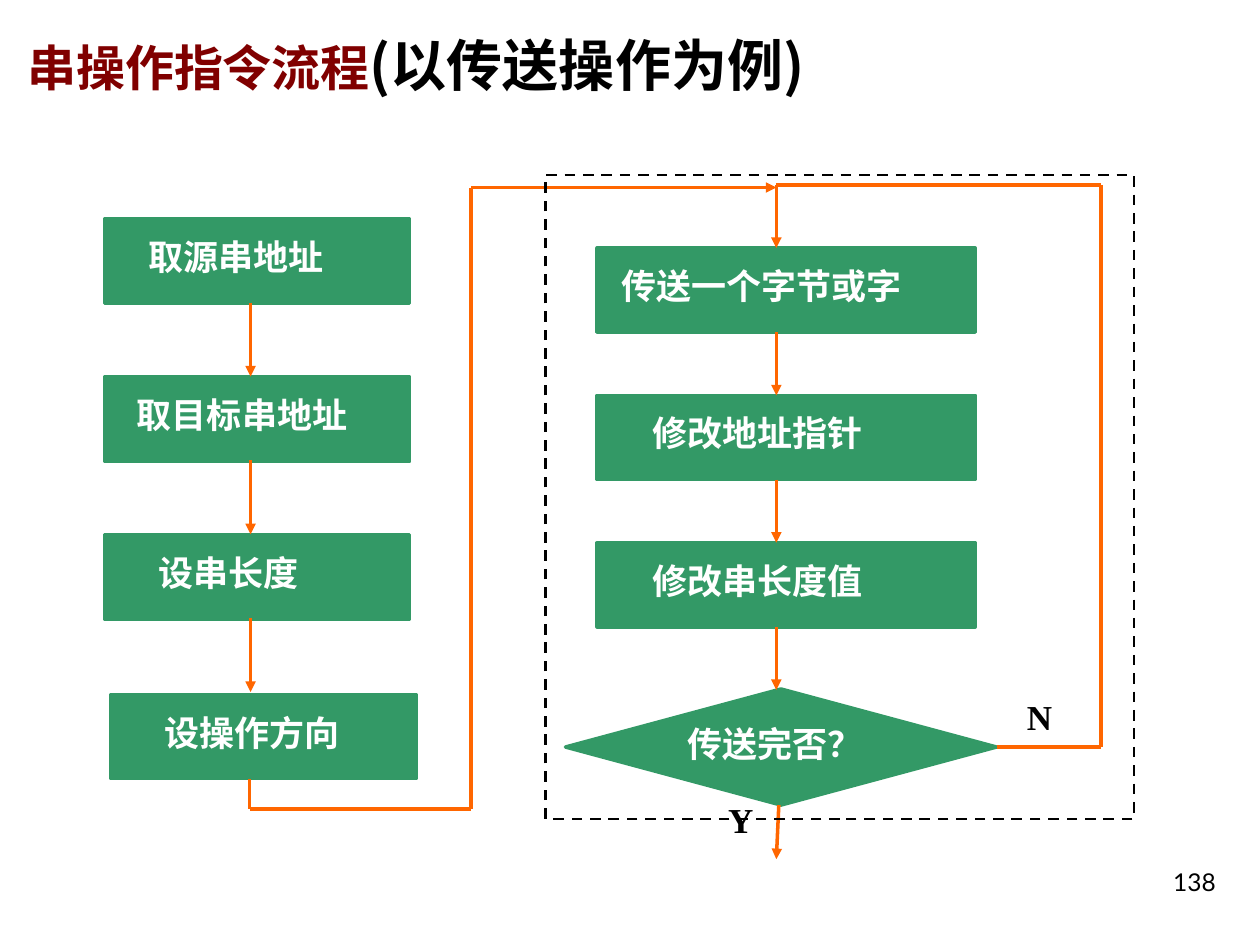
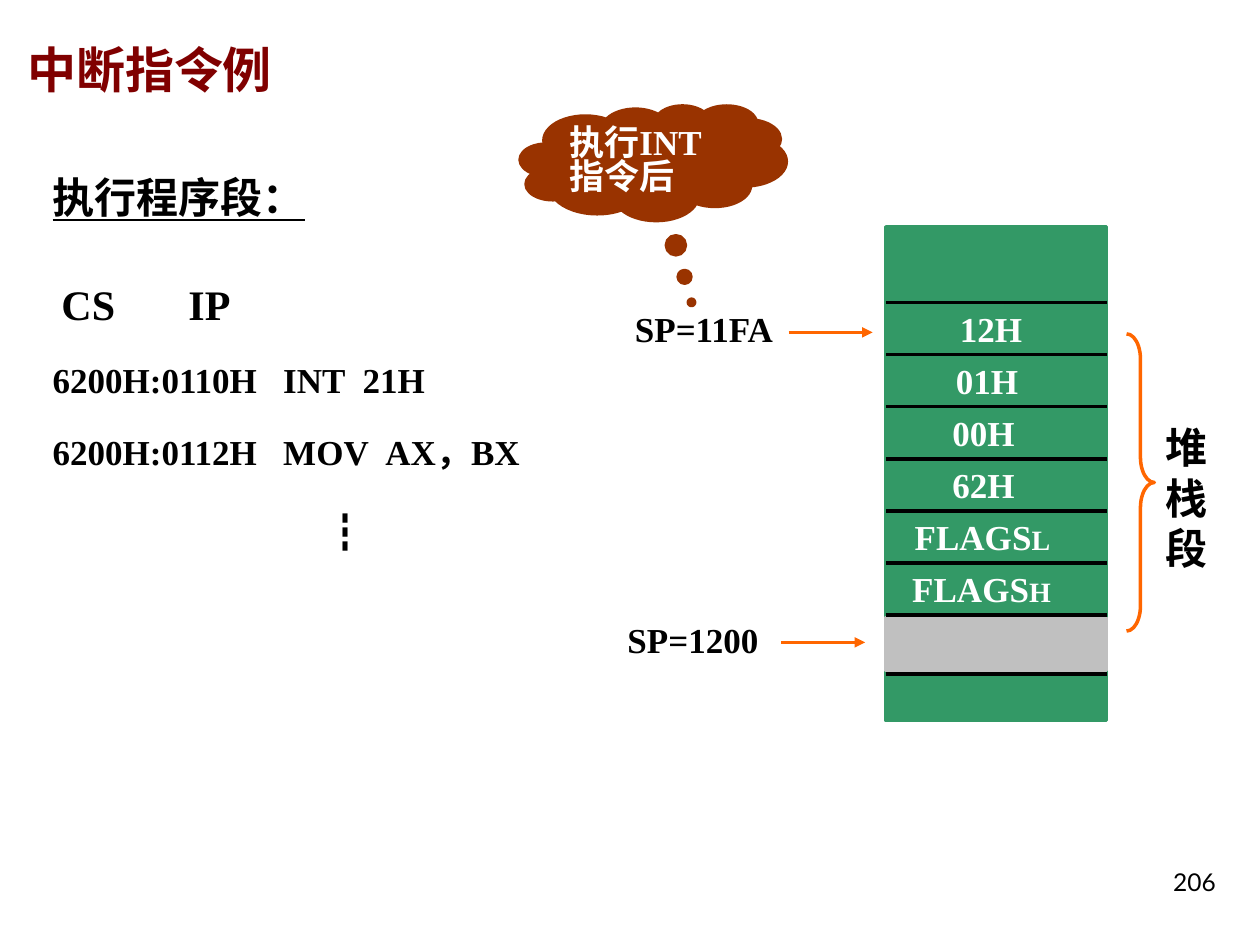
from dataclasses import dataclass
from itertools import pairwise

from lxml import etree
from pptx import Presentation
from pptx import util as u
from pptx.dml.color import RGBColor
from pptx.enum import dml, shapes, text
from pptx.oxml import ns

# Shared colours, fonts and formats
GREEN = RGBColor(0x33, 0x99, 0x66)
ORANGE = RGBColor(0xFF, 0x66, 0x00)
MAROON = RGBColor(0x80, 0x00, 0x00)
BROWN = RGBColor(0x99, 0x33, 0x00)
GREY = RGBColor(0xC0, 0xC0, 0xC0)
BLACK = RGBColor(0, 0, 0)
WHITE = RGBColor(0xFF, 0xFF, 0xFF)
SANS, SERIF, NUMBER = "Noto Sans CJK SC", "Times New Roman", "Lato"
RECT = shapes.MSO_SHAPE.RECTANGLE


@dataclass(frozen=True)
class Span:
    words: str
    size: float = 20
    color: RGBColor = BLACK
    font: str = SERIF
    bold: bool = True
    underline: bool = False


@dataclass(frozen=True)
class Frame:
    """Position and size in centimetres."""
    left: float
    top: float
    width: float
    height: float

    def lengths(self):
        return [u.Cm(v) for v in (self.left, self.top, self.width, self.height)]


@dataclass(frozen=True)
class Step:
    """A flow chart box with its separately placed label."""
    words: str
    frame: Frame
    label_left: float


@dataclass(frozen=True)
class CodeLine:
    spans: list
    tabs: tuple = ()
    before: float = 0
    after: float = 0


def write(para, spans) -> None:
    for item in spans:
        span = para.add_run()
        span.text = item.words
        formats = {"name": item.font, "size": u.Pt(item.size),
                   "bold": item.bold, "underline": item.underline}
        for key, value in formats.items():
            setattr(span.font, key, value)
        span.font.color.rgb = item.color
        east_asian = etree.SubElement(span.font._element, ns.qn("a:ea"))
        east_asian.set("typeface", SANS)


def add_text(page, frame: Frame, *spans: Span, anchor=text.MSO_ANCHOR.TOP,
             align=text.PP_ALIGN.LEFT):
    box = page.shapes.add_textbox(*frame.lengths())
    box.text_frame.word_wrap = True
    box.text_frame.vertical_anchor = anchor
    para = box.text_frame.paragraphs[0]
    para.alignment = align
    write(para, spans)
    return box


def add_figure(page, kind, frame: Frame, fill=None, line=None, width=2.0):
    figure = page.shapes.add_shape(kind, *frame.lengths())
    figure.shadow.inherit = False
    if fill is None:
        figure.fill.background()
    else:
        figure.fill.solid()
        figure.fill.fore_color.rgb = fill
    figure.line.color.rgb = fill if line is None else line
    figure.line.width = u.Pt(width)
    return figure


def add_route(page, *points, color=ORANGE, arrow=True) -> list:
    """Join the points with straight lines; the last one may carry an arrowhead."""
    lines = []
    for start, end in pairwise(points):
        line = page.shapes.add_connector(
            shapes.MSO_CONNECTOR.STRAIGHT, *[u.Cm(v) for v in start + end])
        line.line.color.rgb = color
        line.line.width = u.Pt(2)
        etree.SubElement(line._element.spPr, ns.qn("a:effectLst"))
        lines.append(line)
    if arrow:
        outline = lines[-1].line._get_or_add_ln()
        etree.SubElement(outline, ns.qn("a:tailEnd")).set("type", "triangle")
    return lines


def start_page(deck, number: str, *title: Span):
    page = deck.slides.add_slide(deck.slide_layouts[6])
    add_text(page, Frame(0.3, 0.2, 20, 1.9), *title, anchor=text.MSO_ANCHOR.BOTTOM)
    add_text(page, Frame(23.4, 17.35, 2, 1.32), Span(number, 14, font=NUMBER, bold=False))
    return page


def title_span(words: str) -> Span:
    return Span(words, 28, MAROON, SANS)


def add_step(page, step: Step) -> None:
    add_figure(page, RECT, step.frame, GREEN)
    add_text(page, Frame(step.label_left, step.frame.top + 0.21, 7, 1.09),
             Span(step.words, color=WHITE))


def build_flow(deck) -> None:
    page = start_page(deck, "138", title_span("串操作指令流程"),
                      Span("(以传送操作为例)", 32, font=SANS))

    # Set-up steps on the left, loop steps on the right
    left_pitch, right_pitch = 3.18, 2.97
    set_up = [("取源串地址", 2.74), ("取目标串地址", 2.51), ("设串长度", 2.95)]
    loop = [("传送一个字节或字", 12.27), ("修改地址指针", 12.9), ("修改串长度值", 12.9)]
    steps = [Step(words, Frame(2.11, 4.42 + i * left_pitch, 6.15, 1.7), left)
             for i, (words, left) in enumerate(set_up)]
    steps.append(Step("设操作方向", Frame(2.24, 14, 6.15, 1.7), 3.07))
    steps += [Step(words, Frame(12.04, 5 + i * right_pitch, 7.62, 1.7), left)
              for i, (words, left) in enumerate(loop)]
    for step in steps:
        add_step(page, step)

    # Decision
    decision = add_figure(page, shapes.MSO_SHAPE.FLOWCHART_DECISION,
                          Frame(11.4, 13.89, 8.69, 2.34), GREEN)
    add_text(page, Frame(13.61, 14.45, 5.28, 1.09), Span("传送完否？", color=WHITE))

    # Arrows between the steps
    left_axis, right_axis = 5.05, 15.65
    for i in range(3):
        top = 6.1 + i * left_pitch
        add_route(page, (left_axis, top), (left_axis, top + 1.49))
    for i in range(4):
        top = 3.73 + i * right_pitch
        add_route(page, (right_axis, top), (right_axis, top + 1.27))
    add_route(page, (15.7, 16.23), (right_axis, 17.32))

    # Way into the loop and way back
    add_route(page, (5.03, 15.7), (5.03, 16.31), (9.5, 16.31), (9.5, 3.78),
              (right_axis, 3.78))
    way_back = add_route(page, (20.09, 15.06), (22.2, 15.06), (22.2, 3.73),
                         (right_axis, 3.73), arrow=False)
    way_back[0].begin_connect(decision, 3)

    # Dashed frame around the loop, and the branch names
    border = add_figure(page, RECT, Frame(11, 3.53, 11.86, 12.98), line=BLACK, width=1.5)
    border.line.dash_style = dml.MSO_LINE.DASH
    for name, left, top in (("N", 20.45, 13.89), ("Y", 14.43, 15.98)):
        add_text(page, Frame(left, top, 1.2, 1.09), Span(name))


def add_program(page) -> None:
    lines = [
        CodeLine([Span("执行程序段：", 24, underline=True)], after=12.4),
        CodeLine([Span("\tCS\tIP", 24)], (0.18, 2.74), 5.5),
        CodeLine([Span("6200H:0110H\tINT\t21H")], (4.65, 6.25), 5),
        CodeLine([Span("6200H:0112H\tMOV\tAX，BX")], (4.65, 6.71), 5),
        CodeLine([Span("\t┇", 24, font=SANS)], (5.49,), 5.5),
    ]
    box = add_text(page, Frame(0.81, 2.82, 10.41, 9.22))
    for i, line in enumerate(lines):
        para = box.text_frame.add_paragraph() if i else box.text_frame.paragraphs[0]
        if line.tabs:
            stops = etree.SubElement(para._p.get_or_add_pPr(), ns.qn("a:tabLst"))
            for position in line.tabs:
                stop = etree.SubElement(stops, ns.qn("a:tab"))
                stop.set("pos", str(u.Cm(position)))
                stop.set("algn", "l")
        formats = {"line_spacing": 1.5, "space_before": u.Pt(line.before),
                   "space_after": u.Pt(line.after)}
        for key, value in formats.items():
            setattr(para, key, value)
        write(para, line.spans)


def add_stack(page) -> None:
    left, width, first, pitch = 17.86, 4.45, 6.1, 1.05
    add_figure(page, RECT, Frame(left, 4.57, width, 9.96), GREEN)
    add_figure(page, RECT, Frame(left, 12.45, width, 1.07), GREY)
    cells = [("12H", "", 19.1), ("01H", "", 19.02), ("00H", "", 18.95),
             ("62H", "", 18.95), ("FLAGS", "L", 18.19), ("FLAGS", "H", 18.14)]
    dividers = [first + i * pitch for i in range(len(cells) + 1)]
    for top in dividers + [13.59]:
        add_route(page, (left, top), (left + width, top), color=BLACK, arrow=False)
    for top, (words, half, label_left) in zip(dividers, cells):
        spans = [Span(words, color=WHITE)]
        if half:
            spans.append(Span(half, 16, WHITE))
        add_text(page, Frame(label_left, top - 0.03, 4, 1.09), *spans)


def build_interrupt(deck) -> None:
    page = start_page(deck, "206", title_span("中断指令例"))
    add_program(page)
    add_stack(page)

    # Stack pointer before and after
    pointers = [("SP=1200", 12.4, 12.34, 15.75, 12.95),
                ("SP=11FA", 12.55, 6.07, 15.9, 6.7)]
    for words, left, top, arrow_left, arrow_top in pointers:
        add_text(page, Frame(left, top, 4, 1.09), Span(words))
        add_route(page, (arrow_left, arrow_top), (arrow_left + 1.69, arrow_top))

    # Thought cloud
    cloud = add_figure(page, shapes.MSO_SHAPE.CLOUD_CALLOUT,
                       Frame(10.49, 2.13, 5.36, 2.31), BROWN)
    cloud.adjustments[0], cloud.adjustments[1] = 0.144, 1.217
    cloud.text_frame.word_wrap = True
    cloud.text_frame.vertical_anchor = text.MSO_ANCHOR.TOP
    para = cloud.text_frame.paragraphs[0]
    para.alignment = text.PP_ALIGN.LEFT
    para.line_spacing = 0.8
    write(para, [Span("执行INT指令后", color=WHITE)])

    # Brace naming the stack segment
    brace = add_figure(page, shapes.MSO_SHAPE.LEFT_BRACE,
                       Frame(22.71, 6.73, 0.56, 5.99), line=ORANGE)
    brace.rotation = 180
    brace.adjustments[0], brace.adjustments[1] = 0.907, 0.5
    add_text(page, Frame(23.24, 8.38, 1.27, 2.54), Span("堆栈段", 24),
             align=text.PP_ALIGN.CENTER)


def main() -> None:
    deck = Presentation()
    deck.slide_width, deck.slide_height = u.Cm(25.4), u.Cm(19.05)
    build_flow(deck)
    build_interrupt(deck)
    deck.save("out.pptx")


if __name__ == "__main__":
    main()
